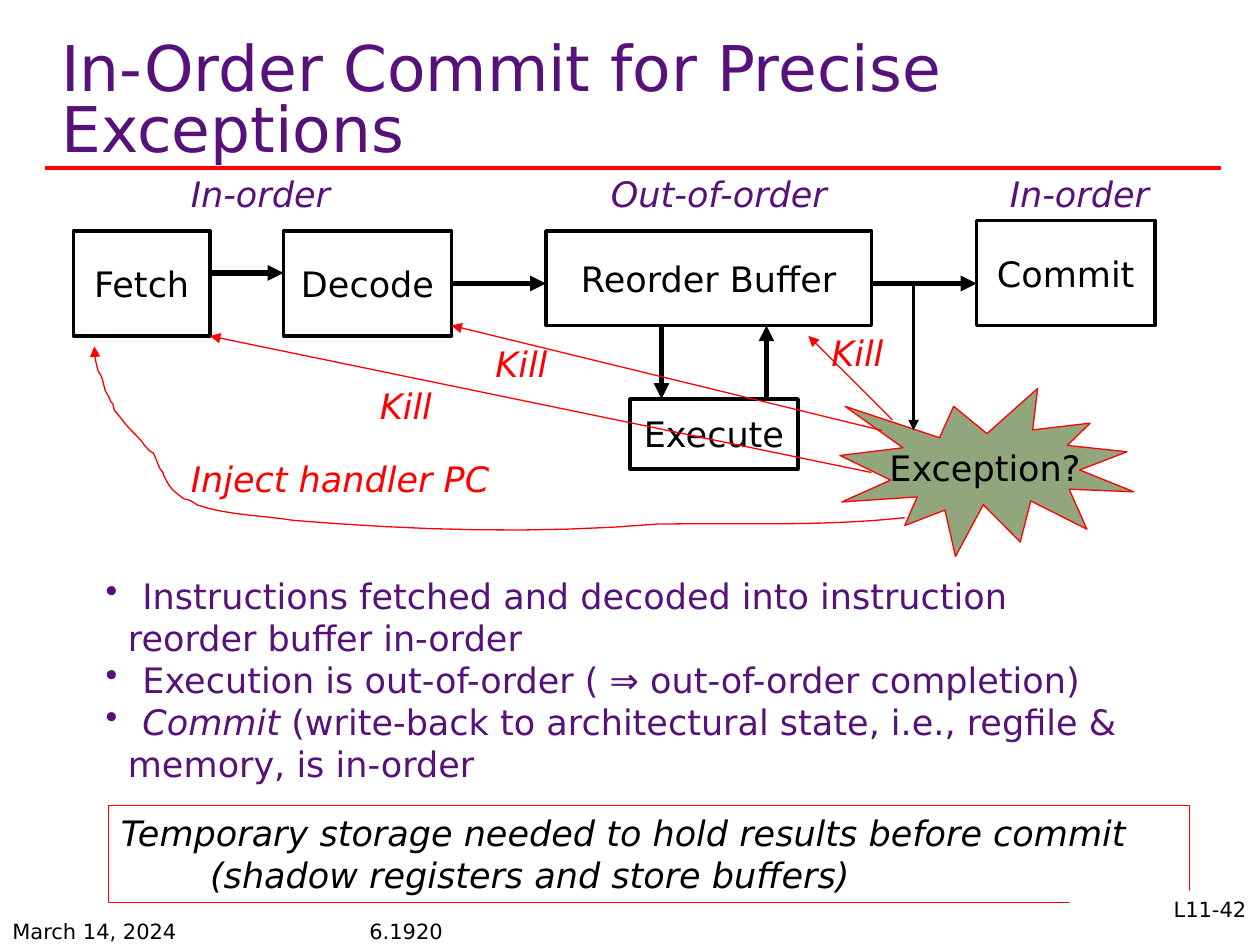
from lxml.etree import SubElement
from pptx import Presentation
from pptx.dml.color import RGBColor
from pptx.enum.shapes import MSO_CONNECTOR, MSO_SHAPE
from pptx.enum.text import MSO_ANCHOR as ANCHOR, PP_ALIGN as ALIGN
from pptx.oxml.ns import qn
from pptx.util import Pt

FONT = "DejaVu Sans"
PURPLE, RED, BLACK, WHITE, GREEN = "56127A", "FF0000", "000000", "FFFFFF", "91A67C"
rgb = RGBColor.from_string


def add_run(paragraph, text, color=BLACK, size=20, italic=False):
    run = paragraph.add_run()
    run.text = text
    run.font.name, run.font.size, run.font.italic = FONT, Pt(size), italic
    run.font.color.rgb = rgb(color)


def style_line(line_shape, color, width, arrow=True):
    """Set a shadowless line, with a triangle at its end if arrow is true."""
    line_shape.line.color.rgb = rgb(color)
    line_shape.line.width = Pt(width)
    properties = line_shape._element.spPr
    if arrow:
        SubElement(properties.find(qn("a:ln")), qn("a:tailEnd"), type="triangle")
    SubElement(properties, qn("a:effectLst"))


deck = Presentation()
deck.slide_width, deck.slide_height = Pt(720), Pt(540)
slide = deck.slides.add_slide(deck.slide_layouts[6])
shapes = slide.shapes

# Title and rule
title_rule = shapes.add_connector(MSO_CONNECTOR.STRAIGHT, Pt(26), Pt(96), Pt(698), Pt(96))
style_line(title_rule, RED, 2.25, arrow=False)
title = shapes.add_textbox(Pt(28), Pt(26.6), Pt(602), Pt(65.5)).text_frame
title.word_wrap = True
title.vertical_anchor = ANCHOR.MIDDLE
title.paragraphs[0].line_spacing = 0.8
add_run(title.paragraphs[0], "In-Order Commit for Precise Exceptions", PURPLE, 36)

# Key points: (has bullet, [(text, italic), ...])
points = [
    (True, [("Instructions fetched and decoded into instruction", False)]),
    (False, [("reorder buffer in-order", False)]),
    (True, [("Execution is out-of-order ( ⇒ out-of-order completion)", False)]),
    (True, [("Commit ", True),
            ("(write-back to architectural state, i.e., regfile &", False)]),
    (False, [("memory, is in-order", False)]),
]
key_points = shapes.add_textbox(Pt(53.3), Pt(324.7), Pt(653.8), Pt(127.4)).text_frame
key_points.word_wrap = True
for number, (bulleted, parts) in enumerate(points):
    point = key_points.add_paragraph() if number else key_points.paragraphs[0]
    for text, italic in parts:
        add_run(point, text, PURPLE, italic=italic)
    layout = point._p.get_or_add_pPr()
    indent = Pt(21) if bulleted else Pt(12.7)
    layout.set("marL", str(indent))
    if bulleted:
        layout.set("indent", str(-indent))
        SubElement(layout, qn("a:buChar"), char="•")

# Storage note, second line indented
note = shapes.add_shape(MSO_SHAPE.RECTANGLE, Pt(62), Pt(460), Pt(618), Pt(55.5))
note.fill.background()
style_line(note, RED, 0.5, arrow=False)
note.text_frame.word_wrap = True
note.text_frame.vertical_anchor = ANCHOR.TOP
note_text = note.text_frame.paragraphs[0]
note_text.alignment = ALIGN.LEFT
note_layout = note_text._p.get_or_add_pPr()
note_layout.set("marL", str(Pt(51)))
note_layout.set("indent", str(-Pt(51)))
add_run(note_text, "Temporary storage needed to hold results before commit "
                   "(shadow registers and store buffers)", italic=True)

# Pipeline stages and the exception burst
RECT, BURST = MSO_SHAPE.RECTANGLE, MSO_SHAPE.EXPLOSION1
stages = {}
for name, kind, left, top, width, height, fill, outline, weight in [
    ("Fetch", RECT, 42, 132, 78, 60, WHITE, BLACK, 2),
    ("Decode", RECT, 162, 132, 96, 60, WHITE, BLACK, 2),
    ("Execute", RECT, 360, 228, 96, 40, WHITE, BLACK, 2),
    ("Commit", RECT, 558, 126, 102, 60, WHITE, BLACK, 2),
    ("Reorder Buffer", RECT, 312, 132, 186, 54, WHITE, BLACK, 2),
    ("Exception?", BURST, 480, 222, 168, 96, GREEN, RED, 0.75),
]:
    stage = shapes.add_shape(kind, Pt(left), Pt(top), Pt(width), Pt(height))
    stage.fill.solid()
    stage.fill.fore_color.rgb = rgb(fill)
    style_line(stage, outline, weight, arrow=False)
    stage.text_frame.word_wrap = False
    stage.text_frame.vertical_anchor = ANCHOR.MIDDLE
    stage.text_frame.paragraphs[0].alignment = ALIGN.CENTER
    add_run(stage.text_frame.paragraphs[0], name)
    stages[name] = stage

# Data flow (black) and kill signals (red)
for x1, y1, x2, y2, color, weight, source in [
    (120, 156, 162, 156, BLACK, 3, None),
    (258, 162, 312, 162, BLACK, 3, "Decode"),
    (498, 162, 558, 162, BLACK, 3, None),
    (378, 186, 378, 228, BLACK, 3, None),
    (438, 228, 438, 186, BLACK, 3, None),
    (522, 162, 522, 246, BLACK, 2, None),
    (510, 240, 462, 192, RED, 0.75, None),
    (504, 246, 258, 186, RED, 0.75, None),
    (498, 270, 120, 192, RED, 0.75, None),
]:
    signal = shapes.add_connector(MSO_CONNECTOR.STRAIGHT, Pt(x1), Pt(y1), Pt(x2), Pt(y2))
    style_line(signal, color, weight)
    if source:
        signal.begin_connect(stages[source], 3)

# Handler path back to Fetch: Bézier curves (two controls, end) sampled as short segments
start = (517, 295.9)
curves = [
    ((470.2, 301), (422.6, 298.8), (375.8, 299.5)),
    ((307.4, 305.3), (236.9, 303.1), (167.8, 297.4)),
    ((149.8, 294.5), (130.3, 294.5), (113, 288.7)),
    ((109.4, 286.6), (109.4, 285.8), (105.1, 285.1)),
    ((101.5, 282.2), (97.9, 280.1), (95.8, 275.8)),
    ((90, 265.7), (96.5, 274.3), (91.4, 267.8)),
    ((90.7, 266.4), (88.6, 260.6), (87.8, 259.2)),
    ((87.8, 258.5), (86.4, 258.5), (85.7, 257.8)),
    ((84.2, 256.3), (82.8, 254.9), (81.4, 252.7)),
    ((77.8, 248.4), (72.7, 244.1), (69.8, 239.8)),
    ((65.5, 234.7), (68.4, 237.6), (65.5, 234.7)),
    ((64.1, 230.4), (65.5, 231.8), (63.4, 229.7)),
    ((62.6, 227.5), (61.9, 226.1), (60.5, 223.9)),
    ((59, 220.3), (59, 215.3), (56.2, 212.4)),
    ((54.7, 206.6), (54, 203.8), (54, 198)),
]
STEPS = 8
route = []
corner = start
for control_1, control_2, end in curves:
    for step in range(1, STEPS + 1):
        t = step / STEPS
        route.append(tuple(
            Pt((1 - t) ** 3 * a + 3 * t * (1 - t) ** 2 * b + 3 * t ** 2 * (1 - t) * c + t ** 3 * d)
            for a, b, c, d in zip(corner, control_1, control_2, end)))
    corner = end
builder = shapes.build_freeform(Pt(start[0]), Pt(start[1]))
builder.add_line_segments(route, close=False)
handler_route = builder.convert_to_shape()
handler_route.fill.background()
style_line(handler_route, RED, 0.75)

# Labels
for text, left, top, width, color in [
    ("In-order", 102, 95, 98, PURPLE),
    ("Out-of-order", 342, 95, 142, PURPLE),
    ("In-order", 570, 95, 98, PURPLE),
    ("Kill", 210, 216, 45, RED),
    ("Kill", 276, 192, 45, RED),
    ("Kill", 468, 186, 45, RED),
    ("Inject handler PC", 102, 258, 188, RED),
]:
    label = shapes.add_textbox(Pt(left), Pt(top), Pt(width), Pt(31)).text_frame
    label.word_wrap = False
    add_run(label.paragraphs[0], text, color, italic=True)

# Footer
for text, left, width in [("March 14, 2024", 0, 144), ("6.1920", 204, 288)]:
    footer = shapes.add_textbox(Pt(left), Pt(521.3), Pt(width), Pt(24)).text_frame
    footer.word_wrap = True
    add_run(footer.paragraphs[0], text, size=12)
page = shapes.add_textbox(Pt(611.3), Pt(509), Pt(108), Pt(36))
page.fill.solid()
page.fill.fore_color.rgb = rgb(WHITE)
page.text_frame.word_wrap = True
page.text_frame.paragraphs[0].alignment = ALIGN.RIGHT
add_run(page.text_frame.paragraphs[0], "L11-42", size=12)

deck.save("out.pptx")
